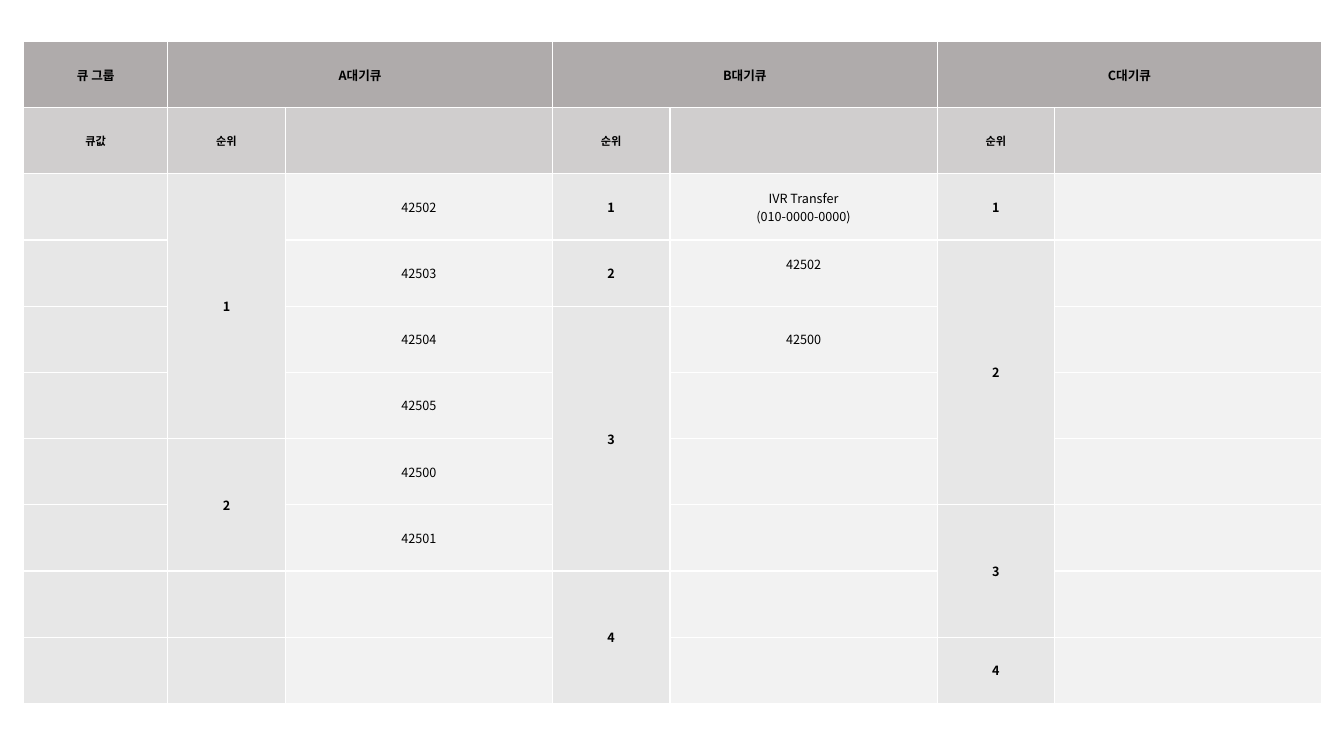
import copy
import dataclasses

import lxml.etree
import pptx
import pptx.dml.color
import pptx.enum.text
import pptx.oxml.ns
import pptx.util

Pt = pptx.util.Pt
Rgb = pptx.dml.color.RGBColor.from_string
qn = pptx.oxml.ns.qn


@dataclasses.dataclass(frozen=True)
class Theme:
    """Colours, font and type sizes of the slide."""
    font: str = "Noto Sans CJK KR"
    ink: str = "000000"
    rule: str = "FFFFFF"
    group: str = "AFABAB"
    head: str = "D0CECE"
    rank: str = "E7E7E7"
    value: str = "F2F2F2"
    body: float = 9
    small: float = 8


THEME = Theme()
QUEUES = [
    ("A대기큐", [("1", 4), ("2", 2), ("", 1), ("", 1)],
     ["42502", "42503", "42504", "42505", "42500", "42501"]),
    ("B대기큐", [("1", 1), ("2", 1), ("3", 4), ("4", 2)],
     ["IVR Transfer\n(010-0000-0000)", "42502", "42500"]),
    ("C대기큐", [("1", 1), ("2", 4), ("3", 2), ("4", 1)], []),
]
ROWS = 10


def write(cell, text, size=THEME.body, bold=True, foot=0):
    """Put centred text in a cell."""
    cell.margin_left = cell.margin_right = cell.margin_top = 0
    cell.margin_bottom = Pt(foot)
    cell.vertical_anchor = pptx.enum.text.MSO_ANCHOR.MIDDLE
    para = cell.text_frame.paragraphs[0]
    para.alignment = pptx.enum.text.PP_ALIGN.CENTER
    para.text = text
    for run in para.runs:
        font = run.font
        font.name, font.size, font.bold = THEME.font, Pt(size), bold
        font.color.rgb = Rgb(THEME.ink)
        props = run._r.get_or_add_rPr()
        lxml.etree.SubElement(props, qn("a:ea"), typeface=THEME.font)
        for gap in para._p.findall(qn("a:br")):
            if len(gap) == 0:
                gap.append(copy.deepcopy(props))


def paint(cell, color):
    """Fill a cell and rule its four sides."""
    cell.fill.solid()
    cell.fill.fore_color.rgb = Rgb(color)
    props = cell._tc.get_or_add_tcPr()
    for place, side in enumerate(("lnL", "lnR", "lnT", "lnB")):
        line = lxml.etree.Element(qn("a:" + side), w=str(Pt(1)))
        fill = lxml.etree.SubElement(line, qn("a:solidFill"))
        lxml.etree.SubElement(fill, qn("a:srgbClr"), val=THEME.rule)
        props.insert(place, line)


def shade(row, col):
    """Return the fill for a place in the grid."""
    if row < 2:
        return (THEME.group, THEME.head)[row]
    return THEME.value if col and col % 2 == 0 else THEME.rank


def queue(grid, col, name, ranks, values):
    """Write one queue's two columns from the given column on."""
    grid.cell(0, col).merge(grid.cell(0, col + 1))
    write(grid.cell(0, col), name)
    write(grid.cell(1, col), "순위", size=THEME.small)
    row = 2
    for rank, span in ranks:
        if span > 1:
            grid.cell(row, col).merge(grid.cell(row + span - 1, col))
        write(grid.cell(row, col), rank)
        row += span
    for row, value in enumerate(values, 2):
        foot = 13 if (name, value) == ("B대기큐", "42502") else 0
        write(grid.cell(row, col + 1), value, bold=False, foot=foot)


def table(slide, left, top, width, height):
    """Draw the queue table in the given box."""
    shares = [103] + [84, 190.8] * len(QUEUES)
    frame = slide.shapes.add_table(ROWS, len(shares), Pt(left), Pt(top), Pt(width), Pt(height))
    grid = frame.table
    grid.first_row = grid.horz_banding = False
    for col, share in zip(grid.columns, shares):
        col.width = Pt(width * share / sum(shares))
    for r, row in enumerate(grid.rows):
        row.height = Pt(height / ROWS)
        for c, cell in enumerate(row.cells):
            paint(cell, shade(r, c))
    write(grid.cell(0, 0), "큐 그룹")
    write(grid.cell(1, 0), "큐값", size=THEME.small)
    for index, item in enumerate(QUEUES):
        queue(grid, 1 + 2 * index, *item)


def main():
    """Build and save the slide."""
    deck = pptx.Presentation()
    deck.slide_width, deck.slide_height = Pt(960), Pt(540)
    slide = deck.slides.add_slide(deck.slide_layouts[6])
    table(slide, 16.8, 29.6, 927.4, 473)
    deck.save("out.pptx")


if __name__ == "__main__":
    main()
